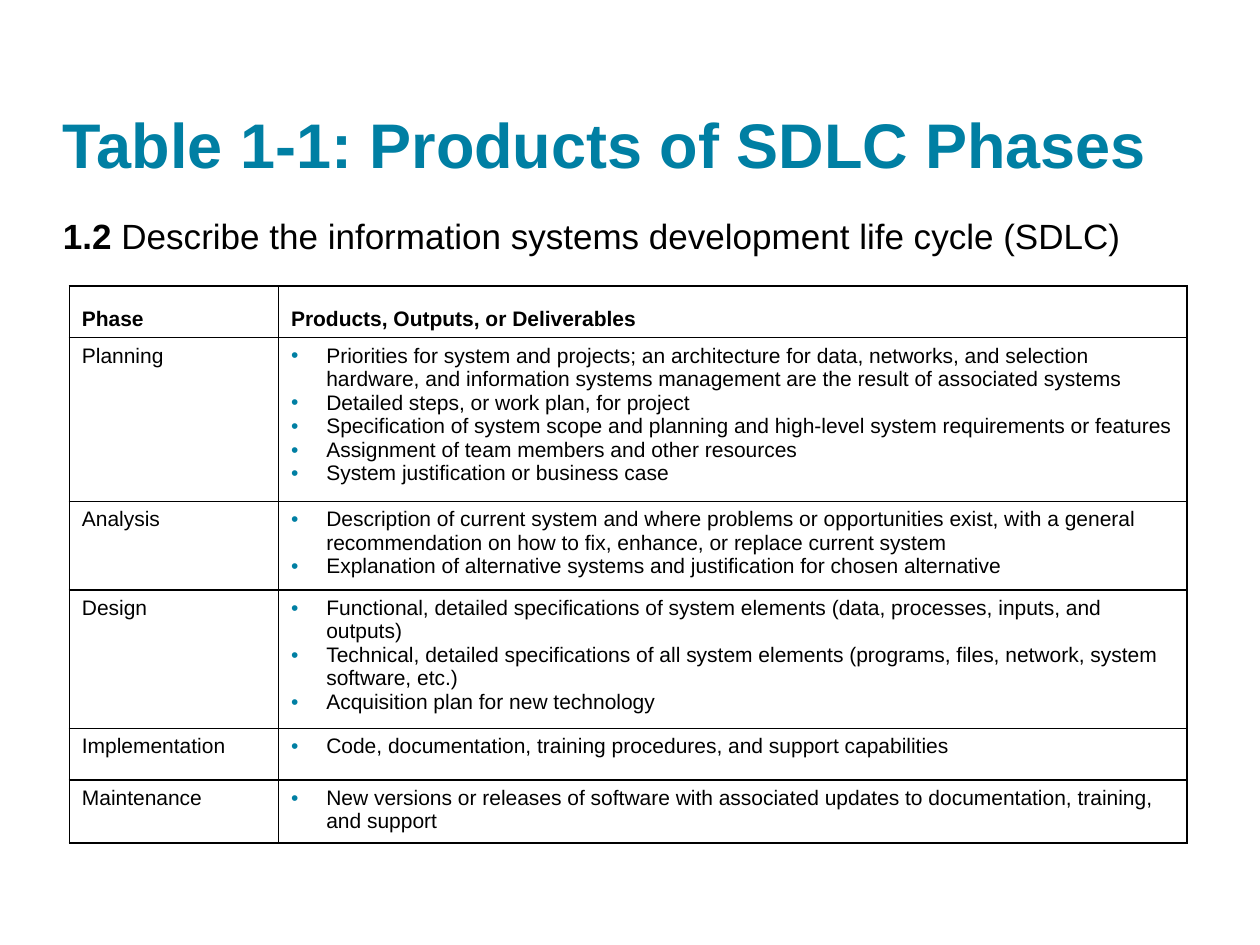
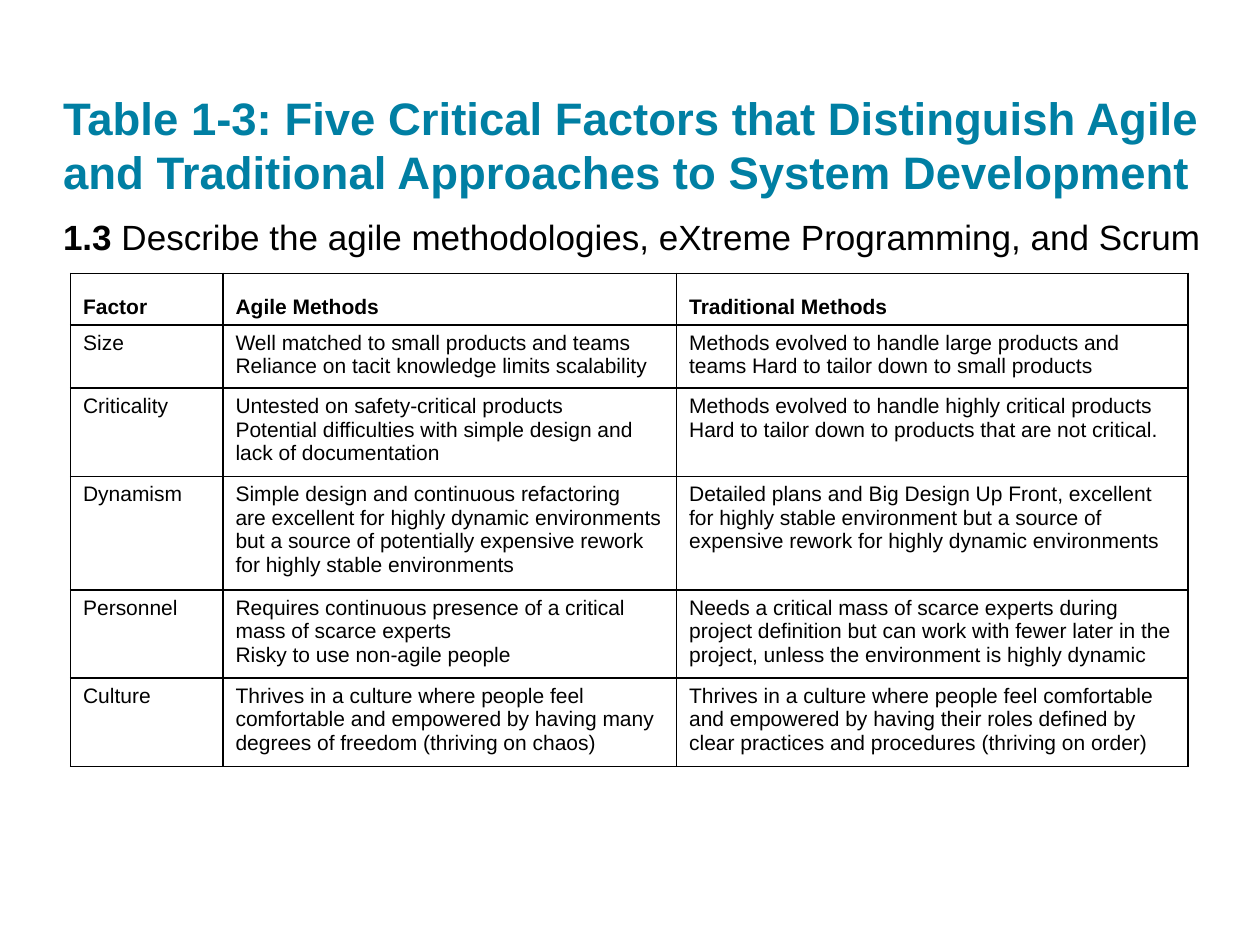
from lxml import etree
from pptx import Presentation
from pptx.dml.color import RGBColor
from pptx.enum import text
from pptx.oxml import ns
from pptx.util import Inches, Pt

TEAL, BLACK = "007FA3", "000000"
FONT = "Arial"
ROW_HEIGHT = 0.41
INDENT = Inches(0.28)

PHASES = [
    ["Phase", "Products, Outputs, or Deliverables"],
    ["Planning", [
        "Priorities for system and projects; an architecture for data, networks, and selection "
        "hardware, and information systems management are the result of associated systems",
        "Detailed steps, or work plan, for project",
        "Specification of system scope and planning and high-level system requirements or features",
        "Assignment of team members and other resources",
        "System justification or business case"]],
    ["Analysis", [
        "Description of current system and where problems or opportunities exist, with a general "
        "recommendation on how to fix, enhance, or replace current system",
        "Explanation of alternative systems and justification for chosen alternative"]],
    ["Design", [
        "Functional, detailed specifications of system elements (data, processes, inputs, and outputs)",
        "Technical, detailed specifications of all system elements (programs, files, network, "
        "system software, etc.)",
        "Acquisition plan for new technology"]],
    ["Implementation", ["Code, documentation, training procedures, and support capabilities"]],
    ["Maintenance", [
        "New versions or releases of software with associated updates to documentation, training, "
        "and support"]],
]

FACTORS = [
    ["Factor", "Agile Methods", "Traditional Methods"],
    ["Size",
     "Well matched to small products and teams Reliance on tacit knowledge limits scalability",
     "Methods evolved to handle large products and teams Hard to tailor down to small products"],
    ["Criticality",
     ["Untested on safety-critical products",
      "Potential difficulties with simple design and lack of documentation"],
     "Methods evolved to handle highly critical products Hard to tailor down to products that "
     "are not critical."],
    ["Dynamism",
     ["Simple design and continuous refactoring",
      "are excellent for highly dynamic environments but a source of potentially expensive "
      "rework for highly stable environments"],
     "Detailed plans and Big Design Up Front, excellent for highly stable environment but a "
     "source of expensive rework for highly dynamic environments"],
    ["Personnel",
     ["Requires continuous presence of a critical mass of scarce experts",
      "Risky to use non-agile people"],
     "Needs a critical mass of scarce experts during project definition but can work with fewer "
     "later in the project, unless the environment is highly dynamic"],
    ["Culture",
     "Thrives in a culture where people feel comfortable and empowered by having many degrees "
     "of freedom (thriving on chaos)",
     "Thrives in a culture where people feel comfortable and empowered by having their roles "
     "defined by clear practices and procedures (thriving on order)"],
]


def rgb(value):
    """Turn a hex string into a colour."""
    return RGBColor.from_string(value)


def add_run(p, words, size, color=BLACK, bold=False):
    """Add one formatted run to a paragraph."""
    r = p.add_run()
    r.text = words
    for name, value in {"name": FONT, "size": Pt(size), "bold": bold}.items():
        setattr(r.font, name, value)
    r.font.color.rgb = rgb(color)


def add_text(s, box, runs, anchor=text.MSO_ANCHOR.TOP):
    """Add a text box without insets, holding one paragraph of runs."""
    tf = s.shapes.add_textbox(*map(Inches, box)).text_frame
    settings = {"word_wrap": True, "vertical_anchor": anchor, "margin_left": 0,
                "margin_right": 0, "margin_top": 0, "margin_bottom": 0}
    for name, value in settings.items():
        setattr(tf, name, value)
    for run in runs:
        add_run(tf.paragraphs[0], **run)


def add_bullet(p):
    """Give a paragraph a teal bullet and a hanging indent."""
    pPr = p._p.get_or_add_pPr()
    pPr.set("marL", str(INDENT))
    pPr.set("indent", str(-INDENT))
    color = etree.SubElement(pPr, ns.qn("a:buClr"))
    etree.SubElement(color, ns.qn("a:srgbClr"), val=TEAL)
    etree.SubElement(pPr, ns.qn("a:buFont"), typeface=FONT)
    etree.SubElement(pPr, ns.qn("a:buChar"), char="•")


def add_borders(cell):
    """Draw a thin black line on all four sides of a cell."""
    tcPr = cell._tc.get_or_add_tcPr()
    for side in ("lnL", "lnR", "lnT", "lnB"):
        line = etree.SubElement(tcPr, ns.qn(f"a:{side}"), w=str(Pt(1)))
        fill = etree.SubElement(line, ns.qn("a:solidFill"))
        etree.SubElement(fill, ns.qn("a:srgbClr"), val=BLACK)


def fill_cell(cell, content, header, bulleted):
    """Write the paragraphs of one cell and style it."""
    add_borders(cell)
    cell.fill.background()
    cell.vertical_anchor = text.MSO_ANCHOR.BOTTOM if header else text.MSO_ANCHOR.TOP
    tf = cell.text_frame
    lines = [content] if isinstance(content, str) else content
    for i, words in enumerate(lines):
        p = tf.add_paragraph() if i else tf.paragraphs[0]
        if bulleted:
            add_bullet(p)
        add_run(p, words, 12, bold=header)


def add_grid(s, left, top, widths, rows, bulleted):
    """Add a bordered table with a bold header row."""
    table = s.shapes.add_table(
        len(rows), len(widths), Inches(left), Inches(top),
        Inches(sum(widths)), Inches(ROW_HEIGHT * len(rows))).table
    table.first_row = table.horz_banding = False
    for column, width in zip(table.columns, widths):
        column.width = Inches(width)
    for i, row in enumerate(rows):
        for j, content in enumerate(row):
            fill_cell(table.cell(i, j), content, i == 0, bulleted and i > 0 and j > 0)


def table_slide(prs, title, title_size, title_box, number, objective, objective_box,
                left, top, widths, rows, bulleted=False):
    """Build a slide with a title, a learning objective and a table."""
    s = prs.slides.add_slide(prs.slide_layouts[6])
    add_text(s, title_box, [dict(words=title, size=title_size, color=TEAL, bold=True)],
             text.MSO_ANCHOR.BOTTOM)
    add_text(s, objective_box, [dict(words=number, size=20, bold=True),
                                dict(words=f" {objective}", size=20)])
    add_grid(s, left, top, widths, rows, bulleted)


def main():
    """Build and save the presentation."""
    prs = Presentation()
    prs.slide_width, prs.slide_height = Inches(10), Inches(7.5)
    table_slide(
        prs, "Table 1-1: Products of SDLC Phases", 36, (0.5, 0.24, 9, 1.2),
        "1.2", "Describe the information systems development life cycle (SDLC)",
        (0.5, 1.7, 9, 0.39), 0.55, 2.27, (1.66, 7.21), PHASES, bulleted=True)
    table_slide(
        prs, "Table 1-3: Five Critical Factors that Distinguish Agile and Traditional "
        "Approaches to System Development", 26, (0.5, 0.24, 9.21, 1.34),
        "1.3", "Describe the agile methodologies, eXtreme Programming, and Scrum",
        (0.5, 1.71, 9.21, 0.32), 0.56, 2.17, (1.21, 3.6, 4.06), FACTORS)
    prs.save("out.pptx")


if __name__ == "__main__":
    main()
